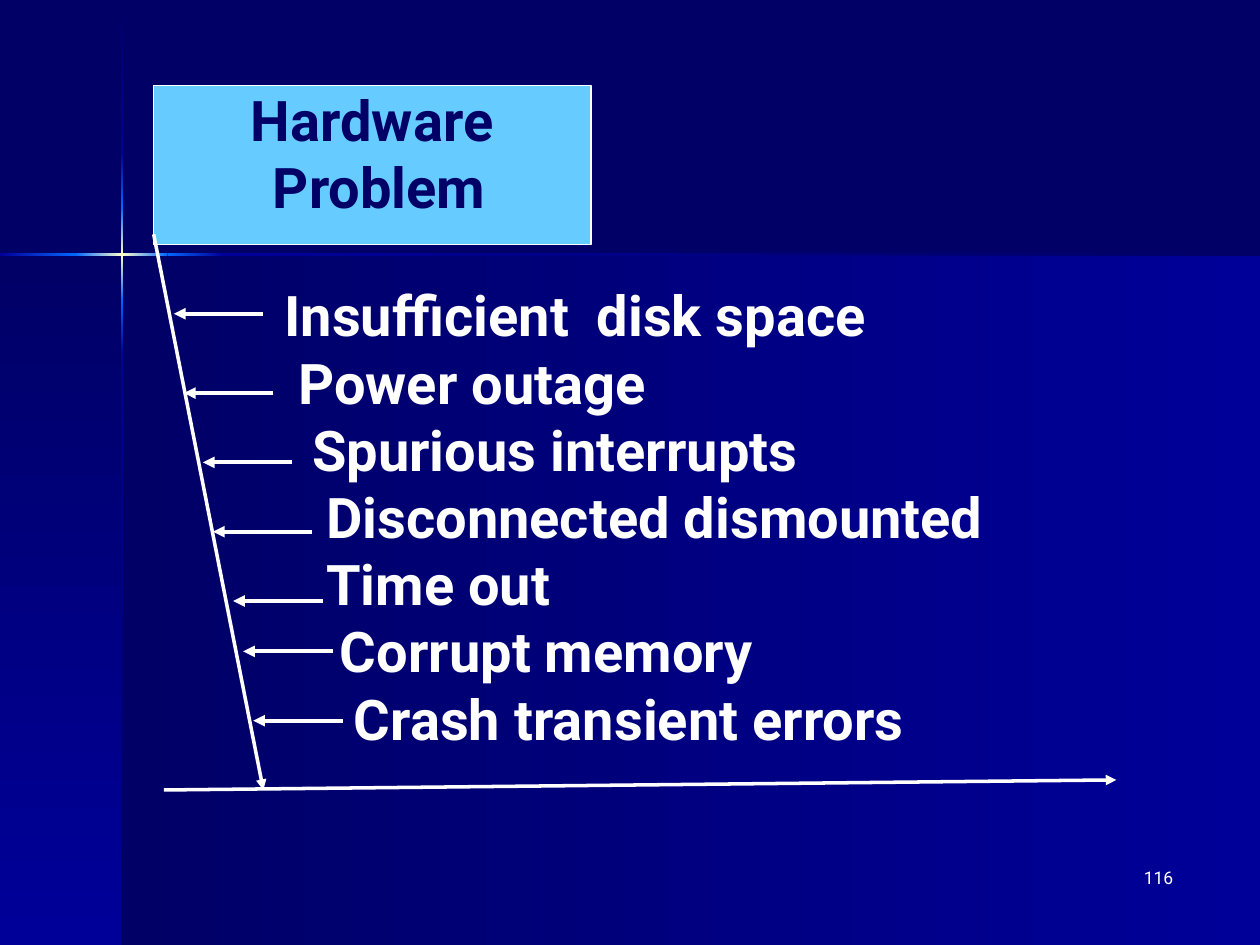
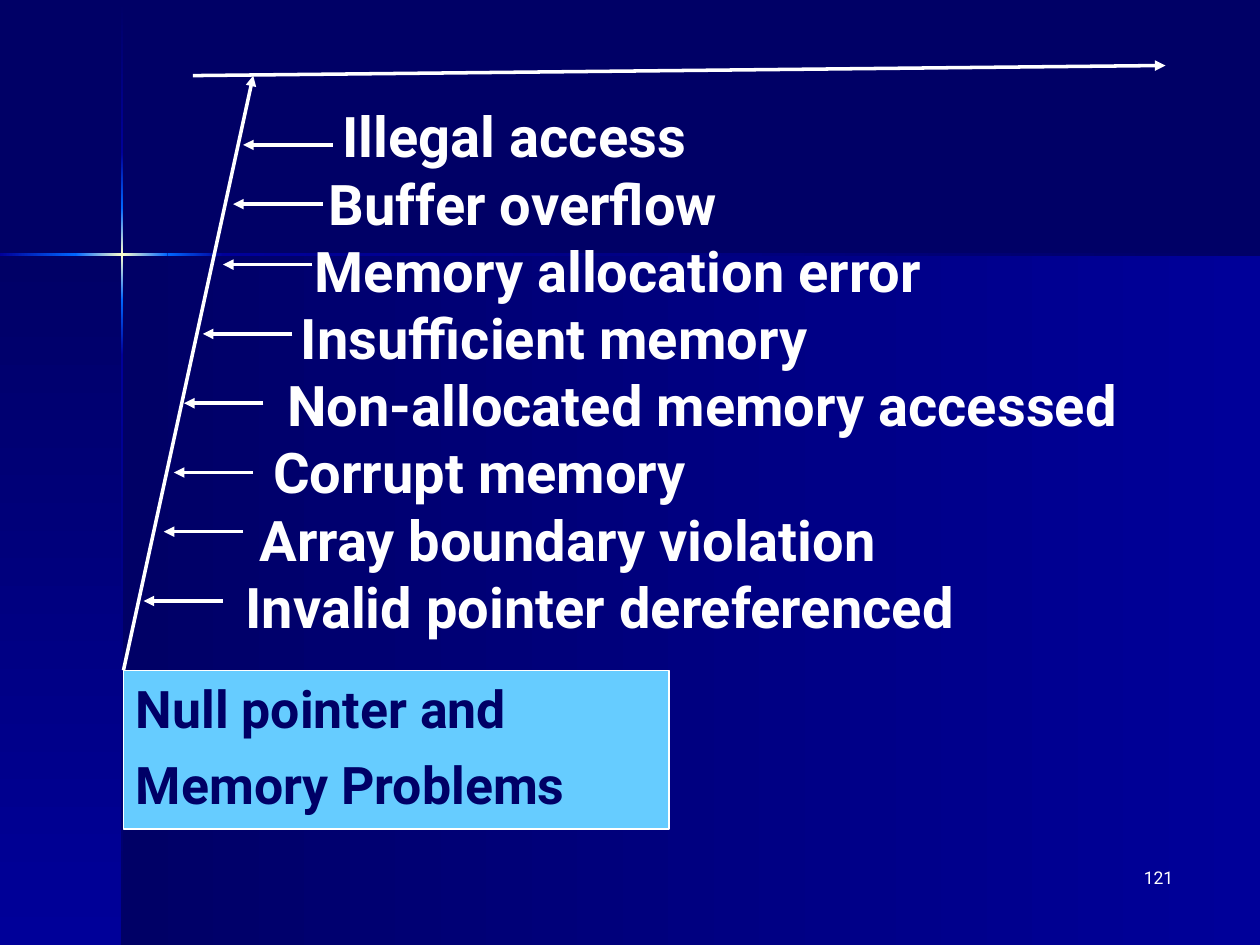
from itertools import pairwise

from lxml import etree
from pptx import Presentation
from pptx.dml.color import RGBColor
from pptx.enum.shapes import MSO_CONNECTOR, MSO_SHAPE
from pptx.enum.text import MSO_ANCHOR, PP_ALIGN
from pptx.oxml.ns import qn
from pptx.util import Inches, Pt

RECT, LINE = MSO_SHAPE.RECTANGLE, MSO_CONNECTOR.STRAIGHT
TOP = MSO_ANCHOR.TOP
LEFT, MID, RIGHT = PP_ALIGN.LEFT, PP_ALIGN.CENTER, PP_ALIGN.RIGHT
FONT = "Roboto"
NAVY, BLUE, GLOW, PALE = "000066", "000099", "0066FF", "FFFFCC"
SKY, WHITE = "66CCFF", "FFFFFF"
ACROSS, DOWN = 0, 270
STEP = 0.11
BEAM = 0.02
ROWS = [(0.01, NAVY), (1.21, BLUE), (1.65, GLOW), (2.02, PALE),
        (2.38, GLOW), (2.82, BLUE), (7.5, NAVY)]
COLS = [(0, BLUE), (0.6, GLOW), (0.97, PALE), (1.33, GLOW),
        (1.77, BLUE), (10, NAVY)]

HARD = [
    ("Insufficient  disk space", 0, -0.07, 0.71, 0.31),
    ("Power outage", 1, 0.01, 0.71, 0.94),
    ("Spurious interrupts", 2, 0.16, 0.71, 1.49),
    ("Disconnected dismounted", 3, 0.32, 0.79, 2.04),
    ("Time out", 3, 0.4, 0.71, 2.59),
    ("Corrupt memory", 4, 0.48, 0.71, 2.99),
    ("Crash transient errors", 5, 0.56, 0.71, 3.54),
]
MEMORY = [
    ("Illegal access", 7, 0.79, 0.71, 0.39),
    ("Buffer overflow", 6, 0.71, 0.71, 0.86),
    ("Memory allocation error", 5, 0.63, 0.71, 1.34),
    ("Insufficient memory", 4, 0.47, 0.71, 1.89),
    ("Non-allocated memory accessed", 3, 0.24, 0.63, 2.44),
    ("Corrupt memory", 2, 0.16, 0.63, 2.99),
    ("Array boundary violation", 1, 0.08, 0.63, 3.46),
    ("Invalid pointer dereferenced", 0, -0.08, 0.63, 4.01),
]


def color(code):
    """Turn a hex string into a colour."""
    return RGBColor.from_string(code)


def write(frame, lines, size=32, ink=WHITE, bold=True, align=LEFT,
          steps=None, before=0, inset=0.05):
    """Fill a text frame with one paragraph for each line."""
    frame.word_wrap = True
    frame.vertical_anchor = TOP
    frame.margin_left = frame.margin_right = Inches(0.1)
    frame.margin_top = frame.margin_bottom = Inches(inset)
    for i, line in enumerate(lines):
        para = frame.add_paragraph() if i else frame.paragraphs[0]
        para.alignment = align
        para.space_before = Pt(before)
        if steps and steps[i]:
            indent = Inches(STEP * steps[i])
            para._p.get_or_add_pPr().set("marL", str(indent))
        run = para.add_run()
        run.text = line
        font = run.font
        font.name, font.size, font.bold = FONT, Pt(size), bold
        font.color.rgb = color(ink)


def block(slide, box):
    """Add a plain rectangle."""
    shape = slide.shapes.add_shape(RECT, *map(Inches, box))
    shape.shadow.inherit = False
    return shape


def blend(slide, box, start, end, angle):
    """Add a borderless rectangle that fades between two colours."""
    shape = block(slide, box)
    shape.line.fill.background()
    shape.fill.gradient()
    shape.fill.gradient_angle = angle
    for stop, code in zip(shape.fill.gradient_stops, (start, end)):
        stop.color.rgb = color(code)


def arrow(slide, start, end, width=2):
    """Draw a white line with a head at its end."""
    line = slide.shapes.add_connector(LINE, *map(Inches, (*start, *end)))
    line.line.color.rgb = color(WHITE)
    line.line.width = Pt(width)
    head = etree.SubElement(line.line._get_or_add_ln(), qn("a:tailEnd"))
    head.set("type", "triangle")
    etree.SubElement(line._element.spPr, qn("a:effectLst"))


def label(slide, box, lines, **style):
    """Add the blue box that names the problem."""
    shape = block(slide, box)
    shape.fill.solid()
    shape.fill.fore_color.rgb = color(SKY)
    shape.line.color.rgb = color(WHITE)
    shape.line.width = Pt(0.75)
    write(shape.text_frame, lines, ink=NAVY, **style)


def note(slide, box, lines, **style):
    """Add a text box."""
    shape = slide.shapes.add_textbox(*map(Inches, box))
    write(shape.text_frame, lines, **style)


def causes(slide, box, items, width):
    """List the causes and point each one at the spine."""
    left, top = box[:2]
    note(slide, box, [item[0] for item in items],
         steps=[item[1] for item in items])
    for _, _, tail, length, drop in items:
        x, y = left + tail, top + drop
        arrow(slide, (x, y), (x - length, y), width)


def base(deck, number):
    """Start a slide with its panels, light cross and number."""
    slide = deck.slides.add_slide(deck.slide_layouts[6])
    fill = slide.background.fill
    fill.solid()
    fill.fore_color.rgb = color(NAVY)
    blend(slide, (0.97, 2.02, 9.03, 5.48), NAVY, BLUE, ACROSS)
    blend(slide, (0, 2.02, 0.97, 5.48), NAVY, BLUE, DOWN)
    for (y, start), (end, stop) in pairwise(ROWS):
        blend(slide, (0.96, y, BEAM, end - y), start, stop, DOWN)
    for (x, start), (end, stop) in pairwise(COLS):
        blend(slide, (x, 2.01, end - x, BEAM), start, stop, ACROSS)
    note(slide, (7.33, 6.83, 2.08, 0.5), [number], size=10,
         bold=False, align=RIGHT)
    return slide


def hardware(deck):
    """Build the slide on hardware problems."""
    slide = base(deck, "116")
    label(slide, (1.22, 0.68, 3.47, 1.26), ["Hardware", "Problem"],
          align=MID, steps=[0, 1], inset=0)
    arrow(slide, (1.22, 1.86), (2.09, 6.27))
    causes(slide, (2.16, 2.18, 7.84, 4.37), HARD, 2.25)
    arrow(slide, (1.3, 6.27), (8.86, 6.19))


def memory(deck):
    """Build the slide on memory problems."""
    slide = base(deck, "121")
    label(slide, (0.98, 5.32, 4.33, 1.26),
          ["Null pointer and", "Memory Problems"], size=29.6, before=8)
    arrow(slide, (0.98, 5.32), (2.01, 0.6))
    causes(slide, (1.85, 0.76, 8.15, 4.9), MEMORY, 2)
    arrow(slide, (1.53, 0.6), (9.25, 0.52))


def main():
    """Build and save the deck."""
    deck = Presentation()
    deck.slide_width, deck.slide_height = Inches(10), Inches(7.5)
    hardware(deck)
    memory(deck)
    deck.save("out.pptx")


if __name__ == "__main__":
    main()
